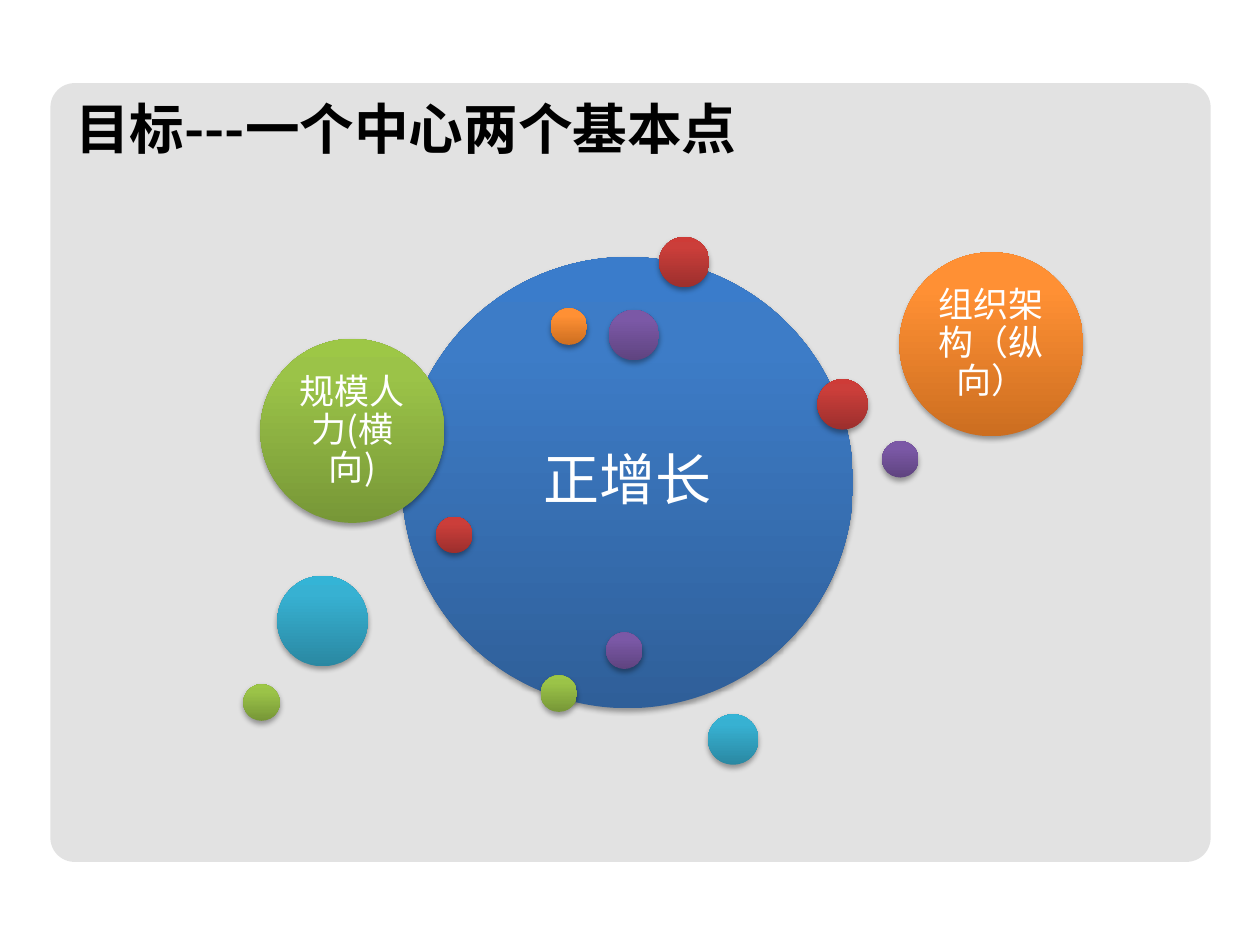
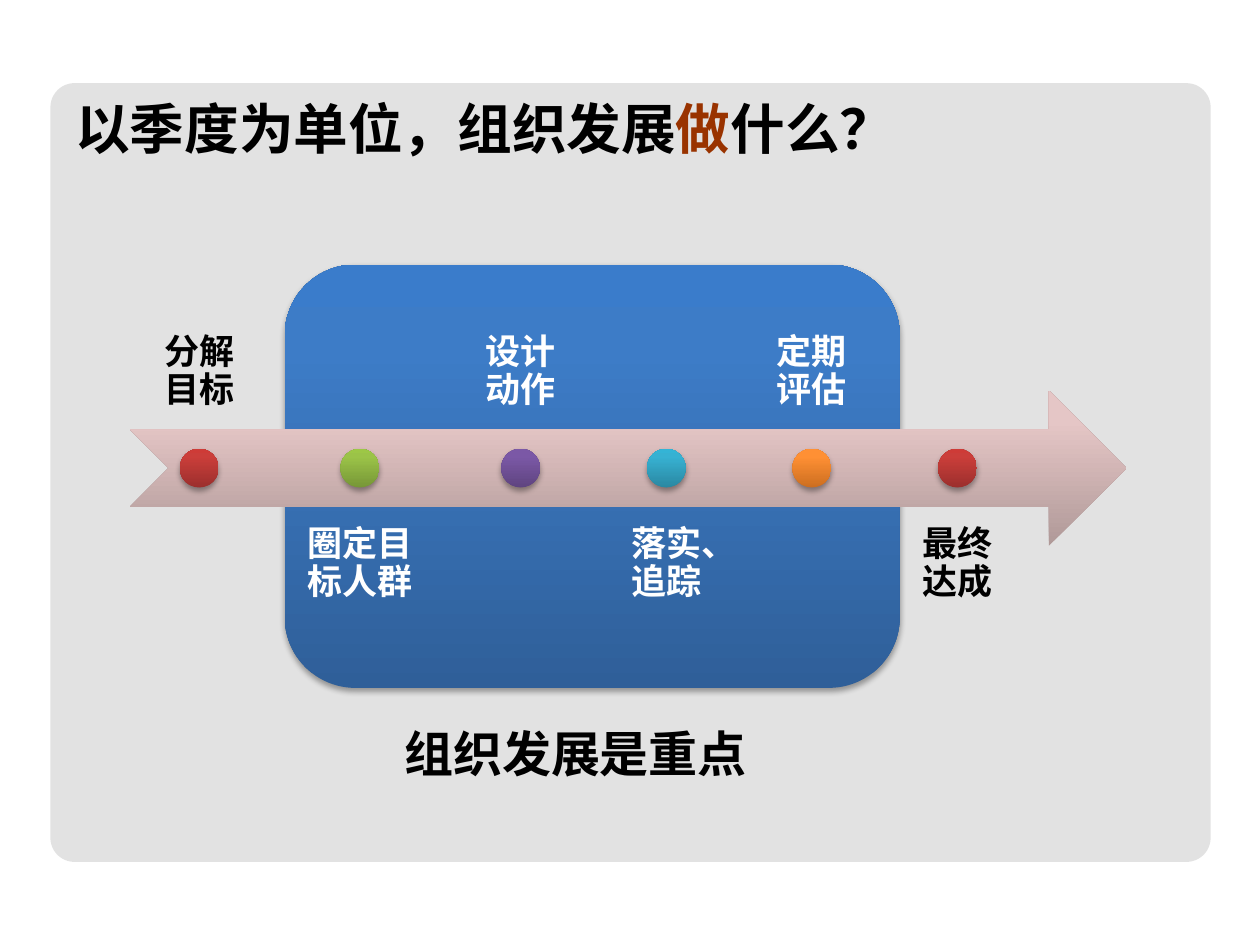
"""Builds two slides: the goal with its two basic points, and the quarterly development steps."""
from copy import deepcopy

from lxml.etree import SubElement
from pptx import Presentation
from pptx.dml.color import RGBColor
from pptx.enum.shapes import MSO_SHAPE
from pptx.enum.text import MSO_ANCHOR, PP_ALIGN
from pptx.oxml.ns import qn
from pptx.util import Pt

FONT = "Noto Sans CJK SC"
BLACK = RGBColor(0x00, 0x00, 0x00)
WHITE = RGBColor(0xFF, 0xFF, 0xFF)
RUST = RGBColor(0x99, 0x33, 0x00)
PANEL = RGBColor(0xD9, 0xD9, 0xD9)
BLUE = RGBColor(0x2F, 0x5F, 0x99), RGBColor(0x3D, 0x7C, 0xC7), RGBColor(0x3A, 0x7C, 0xCB)
RED = RGBColor(0x9C, 0x2F, 0x2D), RGBColor(0xCB, 0x3E, 0x3A), RGBColor(0xCE, 0x3B, 0x37)
GREEN = RGBColor(0x77, 0x97, 0x37), RGBColor(0x9B, 0xC3, 0x48), RGBColor(0x9D, 0xC7, 0x46)
PURPLE = RGBColor(0x5F, 0x44, 0x80), RGBColor(0x7B, 0x58, 0xA6), RGBColor(0x7C, 0x57, 0xA8)
TEAL = RGBColor(0x2A, 0x88, 0xA2), RGBColor(0x37, 0xB1, 0xD2), RGBColor(0x34, 0xB4, 0xD6)
ORANGE = RGBColor(0xCC, 0x6E, 0x20), RGBColor(0xFF, 0x90, 0x34), RGBColor(0xFF, 0x91, 0x36)
PINK = RGBColor(0xB0, 0x99, 0x98), RGBColor(0xE5, 0xC6, 0xC6), RGBColor(0xE6, 0xC7, 0xC6)


def add_text(s, text, box, size, color=BLACK, bold=True, align=PP_ALIGN.LEFT,
             anchor=MSO_ANCHOR.TOP, inset=None, spacing=1.0, accent=None):
    tf = s.shapes.add_textbox(*map(Pt, box)).text_frame
    tf.word_wrap = True
    tf.vertical_anchor = anchor
    if inset is not None:
        tf.margin_left = tf.margin_right = tf.margin_top = tf.margin_bottom = Pt(inset)
    p = tf.paragraphs[0]
    p.alignment = align
    p.line_spacing = spacing
    for part in text.partition(accent) if accent else (text,):
        r = p.add_run()
        r.text = part
        r.font.name = FONT
        r.font.size = Pt(size)
        r.font.bold = bold
        r.font.color.rgb = RUST if part == accent else color
        SubElement(r.font._element, qn("a:ea"), typeface=FONT)


def add_glossy(s, kind, box, colors, shadow=True):
    sp = s.shapes.add_shape(kind, *map(Pt, box))
    sp.line.fill.background()
    sp.fill.gradient()
    sp.fill.gradient_angle = 90
    spPr = sp._element.spPr
    stops = spPr.find(".//" + qn("a:gsLst"))
    stops.append(deepcopy(stops[-1]))
    for stop, color, position in zip(sp.fill.gradient_stops, colors, (0, 0.8, 1)):
        stop.color.rgb = color
        stop.position = position
    sp.shadow.inherit = False
    if shadow:
        outer = SubElement(spPr.find(qn("a:effectLst")), qn("a:outerShdw"), blurRad=str(Pt(3.1)),
                           dist=str(Pt(1.8)), dir="5400000", rotWithShape="0")
        black = SubElement(outer, qn("a:srgbClr"), val="000000")
        SubElement(black, qn("a:alpha"), val="35000")


prs = Presentation()
prs.slide_width, prs.slide_height = Pt(720), Pt(540)

titles = [("目标---一个中心两个基本点", None), ("以季度为单位，组织发展做什么？", "做")]
for title, accent in titles:
    s = prs.slides.add_slide(prs.slide_layouts[6])
    sp = s.shapes.add_shape(MSO_SHAPE.ROUNDED_RECTANGLE, Pt(28.8), Pt(47.5), Pt(663), Pt(445))
    sp.adjustments[0] = 0.031
    sp.shadow.inherit = False
    sp.line.fill.background()
    sp.fill.solid()
    sp.fill.fore_color.rgb = PANEL
    SubElement(sp._element.spPr.find(".//" + qn("a:srgbClr")), qn("a:alpha"), val="74000")
    add_text(s, title, (36, 50.7, 522.7, 45.4), 31.2, accent=accent)

goal, steps = prs.slides

SMALL, MEDIUM, LARGE = 20.9, 28.8, 105.1
balls = [
    (229.7, 146.9, 257.8, BLUE, "正增长", 32),
    (376.6, 135.4, MEDIUM, RED, None, None),
    (308.9, 385.9, SMALL, GREEN, None, None),
    (504, 252, SMALL, PURPLE, None, None),
    (404.6, 408.2, MEDIUM, TEAL, None, None),
    (314.6, 176.2, SMALL, ORANGE, None, None),
    (249.1, 295.2, SMALL, RED, None, None),
    (148.8, 193.7, LARGE, GREEN, "规模人力(横向)", 20),
    (347.8, 177.1, MEDIUM, PURPLE, None, None),
    (158.4, 329, 51.8, TEAL, None, None),
    (514, 144.2, LARGE, ORANGE, "组织架构（纵向）", 20),
    (467.1, 216.7, MEDIUM, RED, None, None),
    (139, 391, SMALL, GREEN, None, None),
    (346.3, 361.4, SMALL, PURPLE, None, None),
]
for left, top, d, colors, label, size in balls:
    add_glossy(goal, MSO_SHAPE.OVAL, (left, top, d, d), colors)
    if label:
        side = d * 0.707
        edge = (d - side) / 2
        add_text(goal, label, (left + edge, top + edge, side, side), size, WHITE, bold=False,
                 align=PP_ALIGN.CENTER, anchor=MSO_ANCHOR.MIDDLE, inset=size * 0.3, spacing=0.9)

add_glossy(steps, MSO_SHAPE.ROUNDED_RECTANGLE, (162.7, 151.2, 351.4, 241.9), BLUE)
add_glossy(steps, MSO_SHAPE.NOTCHED_RIGHT_ARROW, (74.2, 223.2, 569.5, 88.6), PINK, shadow=False)

DOT, GAP = 22.2, 4
milestones = [
    ("分解目标", 79.2, BLACK, RED),
    ("圈定目标人群", 96.5, WHITE, GREEN),
    ("设计动作", 79.2, WHITE, PURPLE),
    ("落实、追踪", 79.2, WHITE, TEAL),
    ("定期评估", 79.2, WHITE, ORANGE),
    ("最终达成", 79.2, BLACK, RED),
]
left = 74.2
for i, (label, width, color, colors) in enumerate(milestones):
    top, anchor = (289.4, MSO_ANCHOR.TOP) if i % 2 else (156.8, MSO_ANCHOR.BOTTOM)
    add_text(steps, label, (left, top, width, 88.6), 20, color, align=PP_ALIGN.CENTER,
             anchor=anchor, inset=11.2, spacing=0.9)
    add_glossy(steps, MSO_SHAPE.OVAL, (left + (width - DOT) / 2, 256.4, DOT, DOT), colors)
    left += width + GAP

add_text(steps, "组织发展是重点", (223.9, 409.7, 215.3, 41), 28)

prs.save("out.pptx")
